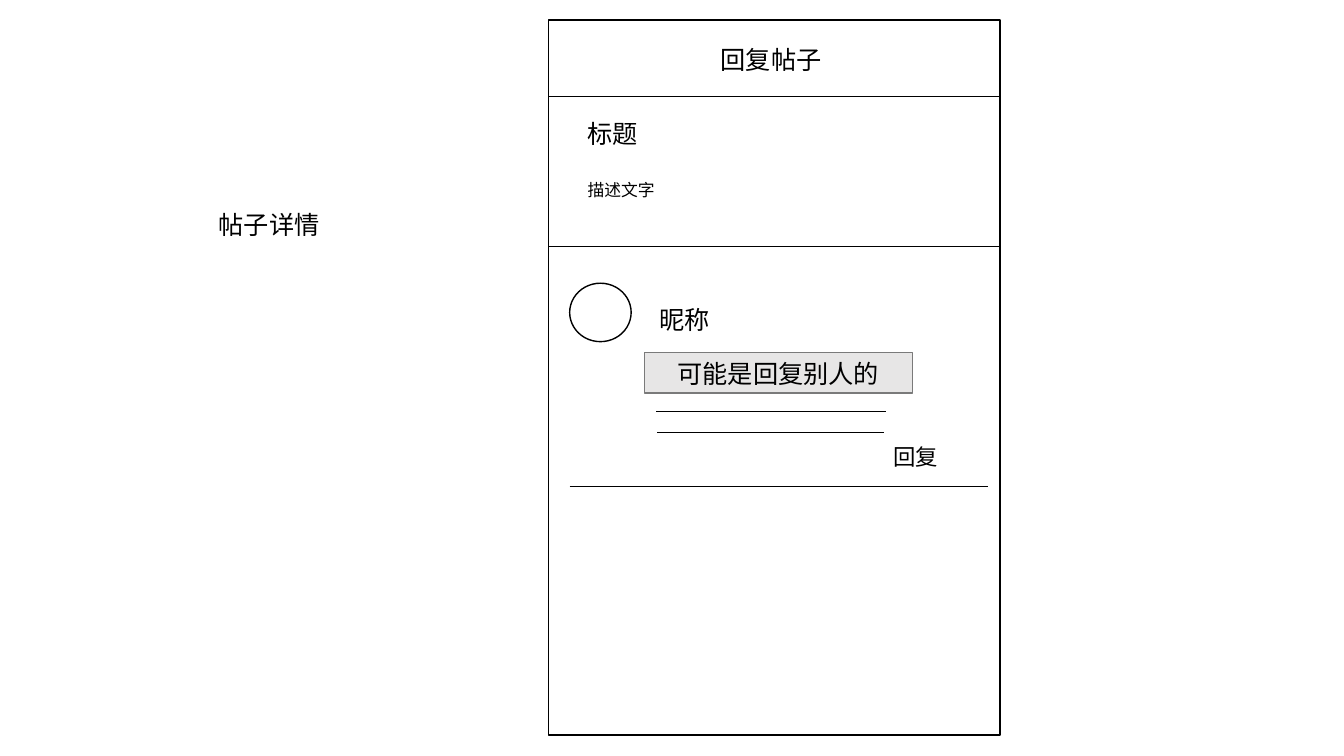
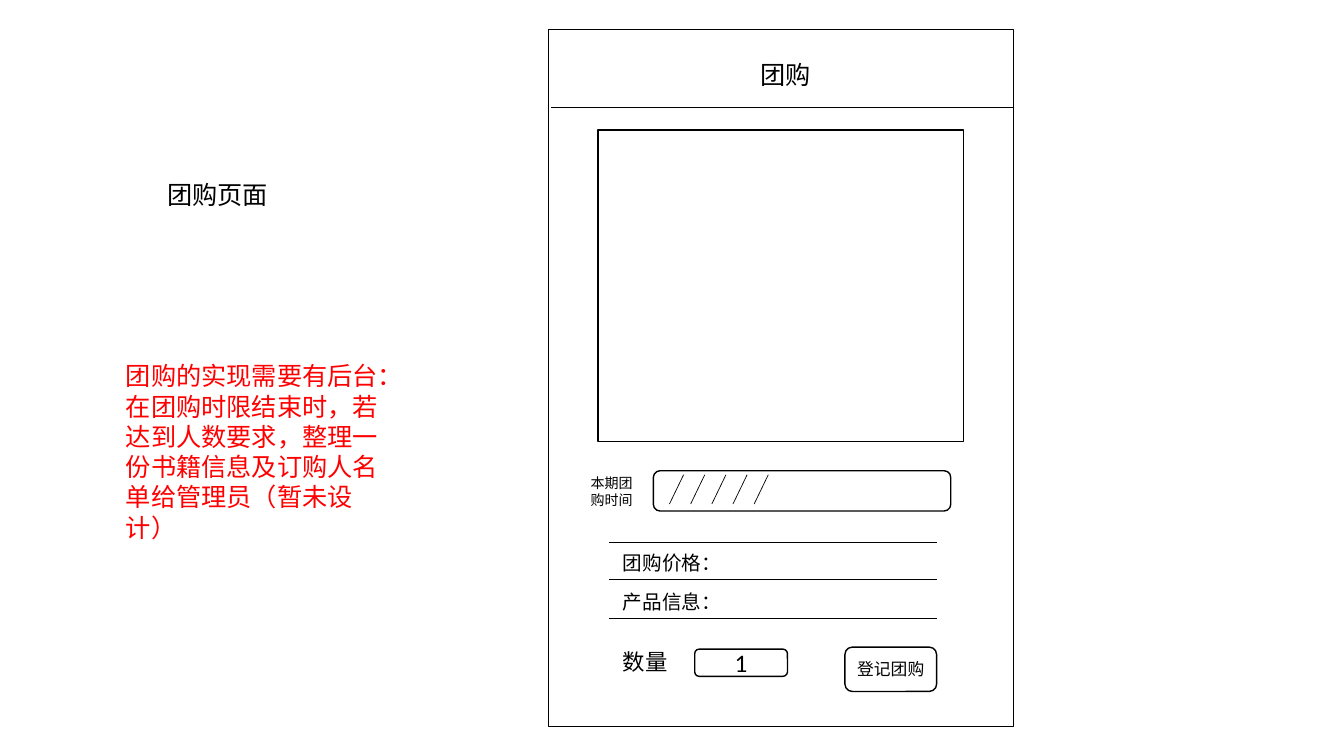
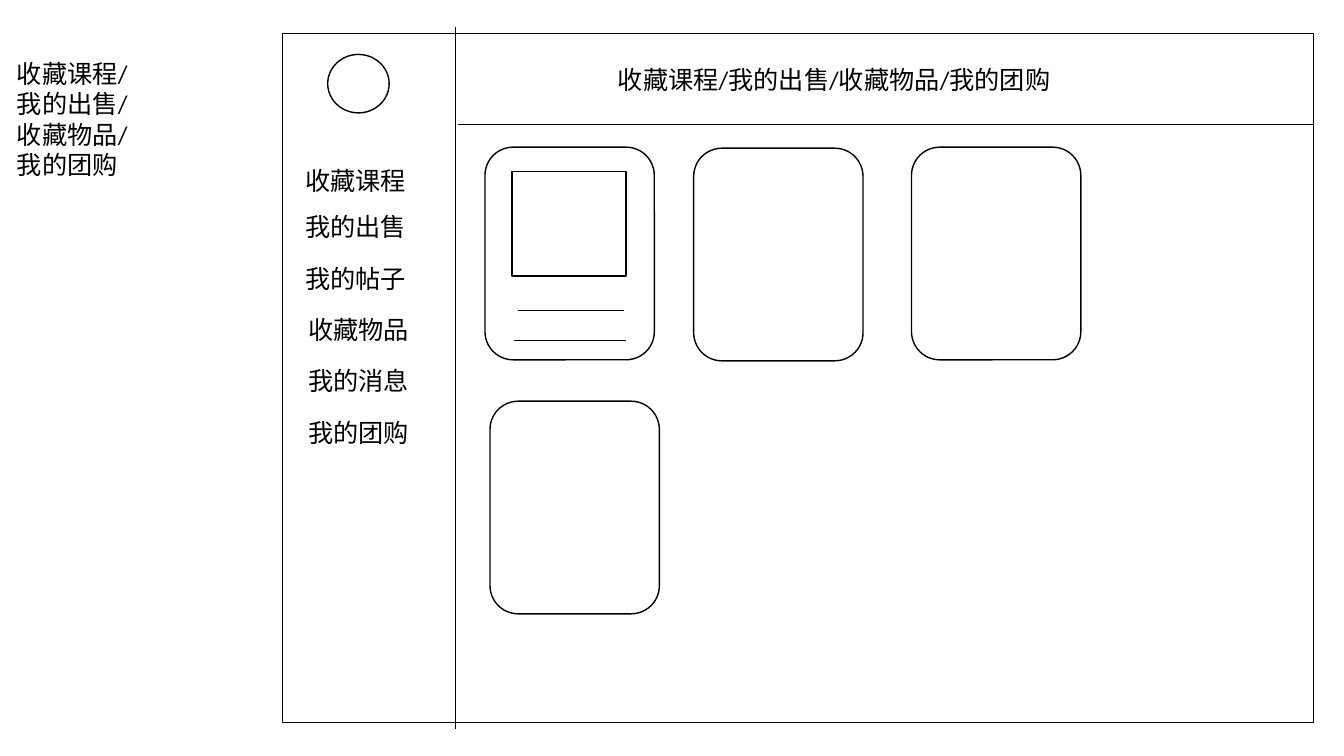
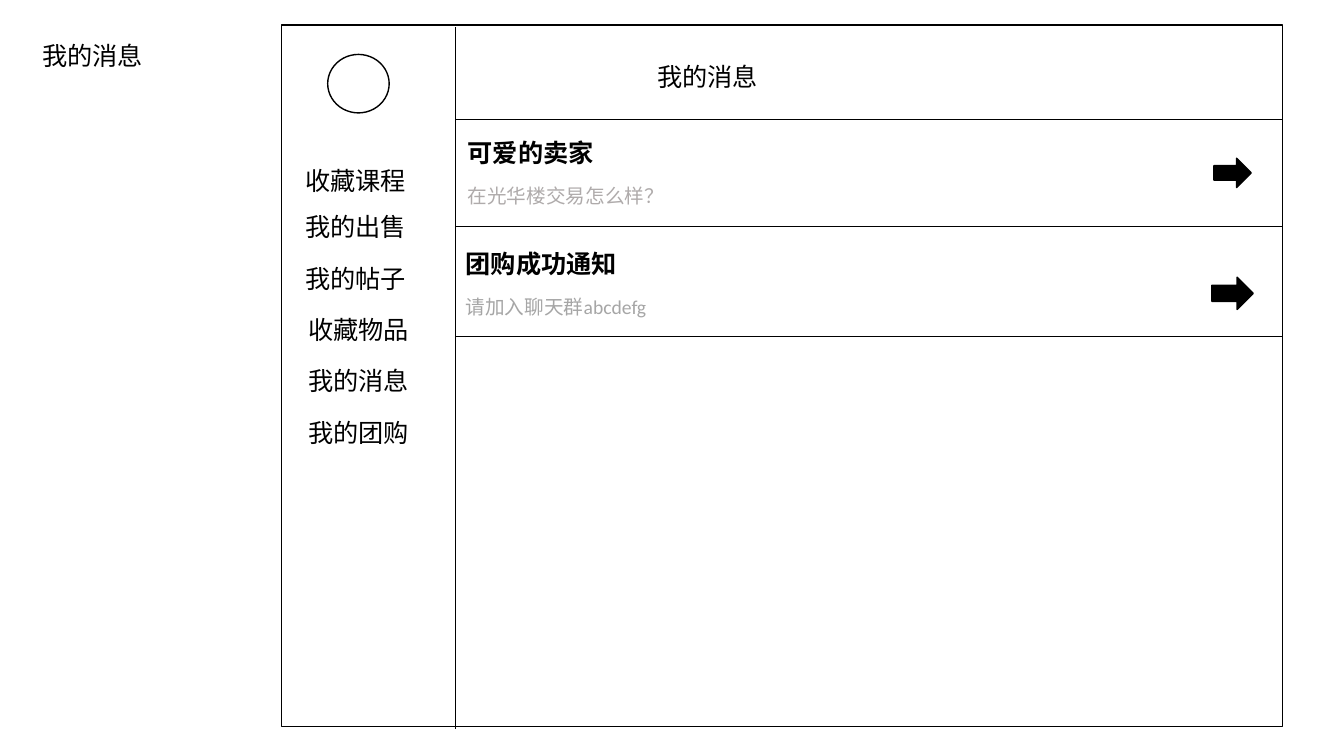
from dataclasses import dataclass

from lxml.etree import SubElement
from pptx import Presentation
from pptx.dml.color import RGBColor
from pptx.enum.shapes import MSO_CONNECTOR as Link, MSO_SHAPE as Kind
from pptx.enum.text import MSO_AUTO_SIZE as Fit, MSO_ANCHOR as Anchor, PP_ALIGN as Align
from pptx.oxml.ns import qn
from pptx.util import Emu, Pt


@dataclass(frozen=True)
class Theme:
    """Colours, type sizes and strokes shared by all slides."""
    font: str = "Calibri"
    ink: str = "000000"
    paper: str = "FFFFFF"
    quote: str = "E7E6E6"
    edge: str = "7A7A7A"
    alert: str = "FF0000"
    mute: str = "AFABAB"
    faint: str = "A6A6A6"
    body: int = 18
    label: int = 16
    small: int = 14
    note: int = 12
    tiny: int = 10
    frame: float = 1
    rule: float = 0.5


@dataclass(frozen=True)
class Box:
    """A region in px that places inner boxes relative to its corner."""
    x: int
    y: int
    w: int
    h: int

    def inner(self, x, y, w, h):
        """Return an inner box."""
        return Box(self.x + x, self.y + y, w, h)


THEME = Theme()
SCALE = 9144
PAGE = Box(0, 0, 1333, 750)


def px(*sizes):
    """Turn px into EMU."""
    return [Emu(size * SCALE) for size in sizes]


def tint(code):
    """Turn a hex code into a colour."""
    return RGBColor.from_string(code)


def write(frame, words, size, ink, bold=False, align=None):
    """Fill a text frame and format its runs."""
    frame.text = words
    for para in frame.paragraphs:
        para.alignment = align
        for run in para.runs:
            font = run.font
            font.name, font.size, font.bold = THEME.font, Pt(size), bold
            font.color.rgb = tint(ink)


def text(shapes, box, words, size=THEME.body, ink=THEME.ink, bold=False, wrap=True):
    """Add a text box that grows with its text."""
    frame = shapes.add_textbox(*px(box.x, box.y, box.w, box.h)).text_frame
    frame.word_wrap = wrap
    frame.auto_size = Fit.SHAPE_TO_FIT_TEXT
    write(frame, words, size, ink, bold)


def block(shapes, box, kind=Kind.RECTANGLE, words="", size=THEME.body,
          fill=THEME.paper, edge=THEME.ink):
    """Add an outlined shape with optional centred text."""
    shape = shapes.add_shape(kind, *px(box.x, box.y, box.w, box.h))
    shape.shadow.inherit = False
    shape.fill.solid()
    shape.fill.fore_color.rgb = tint(fill)
    shape.line.color.rgb = tint(edge)
    shape.line.width = Pt(THEME.frame)
    if words:
        frame = shape.text_frame
        frame.word_wrap = False
        frame.vertical_anchor = Anchor.MIDDLE
        write(frame, words, size, THEME.ink, align=Align.CENTER)


def line(shapes, box, x, y, to_x, to_y):
    """Add a thin line between two points of a box."""
    ends = px(box.x + x, box.y + y, box.x + to_x, box.y + to_y)
    link = shapes.add_connector(Link.STRAIGHT, *ends)
    link.line.color.rgb = tint(THEME.ink)
    link.line.width = Pt(THEME.rule)
    SubElement(link.element.spPr, qn("a:effectLst"))


def window(shapes, box, title, spot, bar, left=0):
    """Draw a framed screen with a title above a bar line."""
    block(shapes, box)
    line(shapes, box, left, bar, box.w, bar)
    text(shapes, box.inner(*spot), title)


def reply(shapes, box):
    """Draw one reply with its avatar, quote and text lines."""
    block(shapes, box.inner(0, 0, 61, 58), Kind.OVAL)
    text(shapes, box.inner(79, 16, 89, 40), "昵称")
    block(shapes, box.inner(74, 69, 266, 40), words="可能是回复别人的",
          fill=THEME.quote, edge=THEME.edge)
    line(shapes, box, 86, 127, 314, 127)
    line(shapes, box, 87, 148, 312, 148)
    text(shapes, box.inner(311, 154, 72, 37), "回复", THEME.label)
    line(shapes, box, 0, box.h, box.w, box.h)


def form(shapes, box):
    """Draw the group order form."""
    text(shapes, box.inner(0, -1, 72, 44), "本期团购时间", THEME.tiny)
    block(shapes, box.inner(72, 0, 295, 40), Kind.ROUNDED_RECTANGLE)
    for x in range(88, 193, 21):
        line(shapes, box, x + 14, 4, x, 33)
    for y in (71, 108, 146):
        line(shapes, box, 28, y, 353, y)
    for y, words in ((75, "团购价格："), (113, "产品信息：")):
        text(shapes, box.inner(32, y, 117, 34), words, THEME.small, wrap=False)
    text(shapes, box.inner(32, 171, 70, 37), "数量", THEME.label)
    block(shapes, box.inner(113, 177, 92, 27), Kind.ROUNDED_RECTANGLE, "1")
    block(shapes, box.inner(262, 175, 91, 44), Kind.ROUNDED_RECTANGLE, "登记团购", THEME.note)


def menu(shapes, box):
    """Draw the side menu with its avatar and divider."""
    group = shapes.add_group_shape().shapes
    block(group, box.inner(45, 27, 61, 58), Kind.OVAL)
    items = "收藏课程", "我的出售", "我的帖子", "收藏物品", "我的消息", "我的团购"
    for i, words in enumerate(items):
        x = 13 if i < 3 else 16
        y = 127 + 51 * i if i else 132
        text(group, box.inner(x, y, 121, 40), words, wrap=False)
    line(shapes, box, box.w, 0, box.w, box.h)


def card(shapes, box, full):
    """Draw one card, with a picture frame and lines if full."""
    block(shapes, box, Kind.ROUNDED_RECTANGLE)
    if full:
        block(shapes, box.inner(27, 24, 113, 104))
        line(shapes, box, 33, 162, 138, 162)
        line(shapes, box, 29, 192, 140, 192)


def message(shapes, box, title, words, ink, spot, tip):
    """Draw one message row with its arrow and lower line."""
    group = shapes.add_group_shape().shapes
    body = box.inner(*spot)
    text(group, body.inner(0, 0, 185, 40), title, bold=True)
    text(group, body.inner(0, 47, 252, 34), words, THEME.small, ink)
    block(shapes, box.inner(*tip), Kind.RIGHT_ARROW, fill=THEME.ink)
    line(shapes, box, 0, box.h, box.w, box.h)


def post(shapes, page):
    """Build the post details slide."""
    text(shapes, page.inner(207, 203, 124, 40), "帖子详情")
    phone = page.inner(544, 20, 448, 709)
    window(shapes, phone, "回复帖子", (161, 19, 130, 40), 76)
    text(shapes, phone.inner(29, 92, 160, 40), "标题")
    text(shapes, phone.inner(29, 153, 284, 30), "描述文字", THEME.note)
    line(shapes, phone, 0, 224, phone.w, 224)
    reply(shapes, phone.inner(21, 261, 415, 202))


def order(shapes, page):
    """Build the group order slide."""
    text(shapes, page.inner(156, 173, 176, 40), "团购页面")
    phone = page.inner(544, 29, 461, 692)
    window(shapes, phone, "团购", (200, 25, 83, 40), 78, 3)
    block(shapes, phone.inner(49, 100, 363, 309))
    form(shapes, phone.inner(32, 438, 367, 219))
    text(shapes, page.inner(115, 353, 288, 161),
         "团购的实现需要有后台：在团购时限结束时，若达到人数要求，"
         "整理一份书籍信息及订购人名单给管理员（暂未设计）", ink=THEME.alert)


def saved(shapes, page):
    """Build the saved items slide."""
    names = "收藏课程", "我的出售", "收藏物品", "我的团购"
    text(shapes, page.inner(7, 53, 267, 131), "/\n".join(names))
    screen = page.inner(280, 33, 1023, 684)
    window(shapes, screen, "/".join(names), (323, 26, 586, 40), 90, 174)
    menu(shapes, page.inner(280, 27, 172, 696))
    for i, (x, y) in enumerate(((201, 113), (408, 114), (624, 113), (206, 365))):
        card(shapes, screen.inner(x, y, 168, 211), i == 0)


def inbox(shapes, page):
    """Build the messages slide."""
    text(shapes, page.inner(32, 35, 185, 40), "我的消息")
    screen = page.inner(279, 25, 993, 696)
    window(shapes, screen, "我的消息", (363, 31, 165, 40), 93, 173)
    message(shapes, screen.inner(173, 93, 820, 107), "可爱的卖家", "在光华楼交易怎么样？",
            THEME.mute, (2, 13, 185, 82), (752, 39, 37, 29))
    message(shapes, screen.inner(173, 200, 820, 109), "团购成功通知", "请加入聊天群abcdefg",
            THEME.faint, (0, 16, 185, 80), (750, 50, 41, 32))
    menu(shapes, page.inner(280, 27, 172, 696))


def main():
    """Build and save the deck."""
    deck = Presentation()
    deck.slide_width, deck.slide_height = px(PAGE.w, PAGE.h)
    for build in (post, order, saved, inbox):
        build(deck.slides.add_slide(deck.slide_layouts[6]).shapes, PAGE)
    deck.save("out.pptx")


if __name__ == "__main__":
    main()
